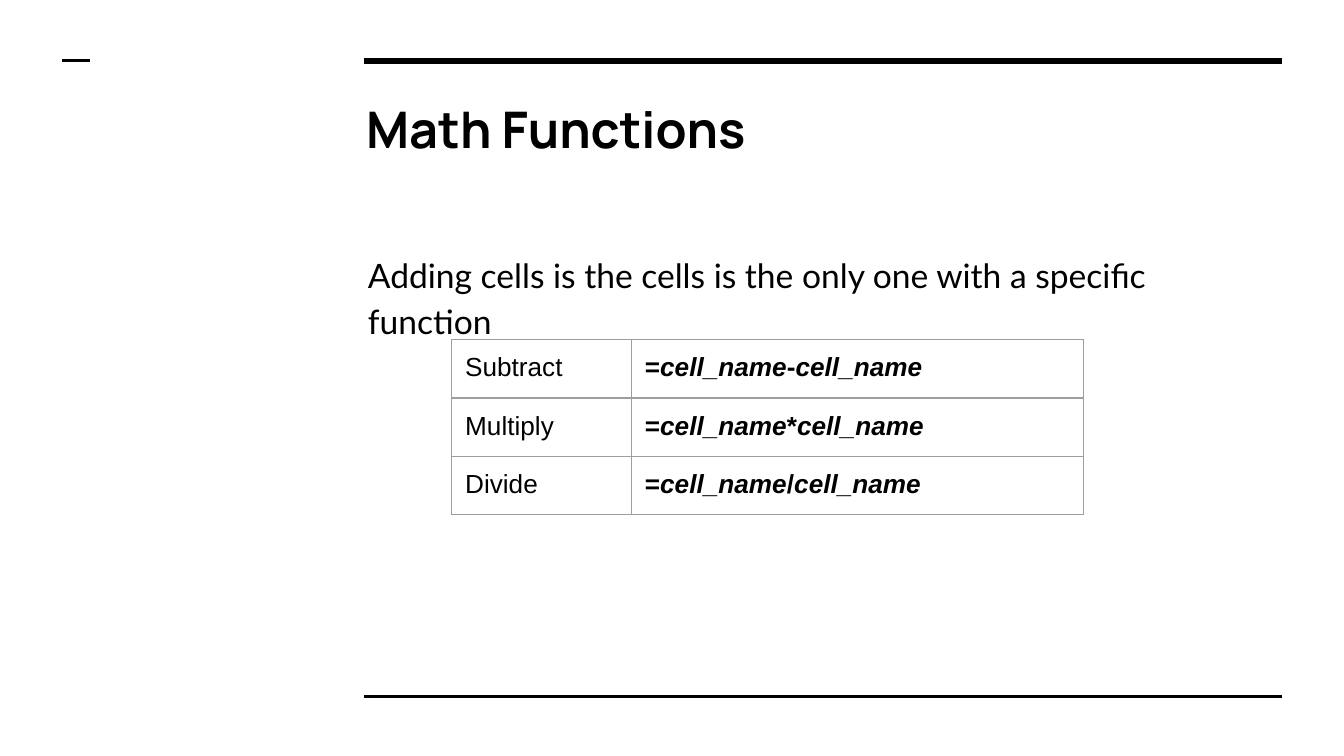
from lxml import etree
from pptx import Presentation
from pptx.dml.color import RGBColor
from pptx.enum.shapes import MSO_CONNECTOR as Connector
from pptx.oxml.ns import qn
from pptx.util import Pt

BLACK = RGBColor(0x00, 0x00, 0x00)
GREY = RGBColor(0x9E, 0x9E, 0x9E)
INSET = Pt(7.2)


def write(paragraph, text, font="Arial", size=14, bold=False, italic=False):
    run = paragraph.add_run()
    run.text = text
    run.font.name = font
    run.font.size = Pt(size)
    run.font.bold = bold
    run.font.italic = italic
    run.font.color.rgb = BLACK


def set_borders(cell, color, width):
    """Line all four sides; call before the fill, which must follow the lines."""
    properties = cell._tc.get_or_add_tcPr()
    for side in ("a:lnL", "a:lnR", "a:lnT", "a:lnB"):
        line = etree.SubElement(properties, qn(side), w=str(Pt(width)))
        fill = etree.SubElement(line, qn("a:solidFill"))
        etree.SubElement(fill, qn("a:srgbClr"), val=str(color))


prs = Presentation()
prs.slide_width, prs.slide_height = Pt(720), Pt(405)
slide = prs.slides.add_slide(prs.slide_layouts[6])

# Rules at the top, bottom and left margin
for left, right, y, width in [
    (195, 687, 32.6, 3),
    (195, 687, 373, 1.5),
    (33.5, 48, 32.6, 1.5),
]:
    rule = slide.shapes.add_connector(Connector.STRAIGHT, Pt(left), Pt(y), Pt(right), Pt(y))
    rule.line.color.rgb = BLACK
    rule.line.width = Pt(width)
    etree.SubElement(rule._element.spPr, qn("a:effectLst"))

# Title and body text
for text, left, top, height, font, size, bold, spacing, after in [
    ("Math Functions", 189, 45.4, 49.7, "Manrope", 27, True, 1, 0),
    ("Adding cells is the cells is the only one with a specific function",
     190, 126, 236, "Lato", 18, False, 1.15, 12),
]:
    frame = slide.shapes.add_textbox(Pt(left), Pt(top), Pt(497.5), Pt(height)).text_frame
    frame.word_wrap = True
    frame.margin_left = frame.margin_right = INSET
    frame.margin_top = frame.margin_bottom = INSET
    paragraph = frame.paragraphs[0]
    paragraph.line_spacing = spacing
    paragraph.space_after = Pt(after)
    write(paragraph, text, font=font, size=size, bold=bold)

# Operations and their formulas
operations = [("Subtract", "-"), ("Multiply", "*"), ("Divide", "/")]
column_widths = (96.3, 242)
row_height = 30.3
table = slide.shapes.add_table(
    len(operations), len(column_widths), Pt(242), Pt(182),
    Pt(sum(column_widths)), Pt(row_height * len(operations)),
).table
table.first_row = table.horz_banding = False
for column, width in zip(table.columns, column_widths):
    column.width = Pt(width)

for row, (operation, operator) in zip(table.rows, operations):
    row.height = Pt(row_height)
    for cell in row.cells:
        cell.margin_left = cell.margin_right = INSET
        cell.margin_top = cell.margin_bottom = INSET
        set_borders(cell, GREY, 0.75)
        cell.fill.background()
    name, formula = (cell.text_frame.paragraphs[0] for cell in row.cells)
    write(name, operation)
    for part in ("=", "cell_name", operator, "cell_name"):
        write(formula, part, bold=True, italic=part == "cell_name")

prs.save("out.pptx")
